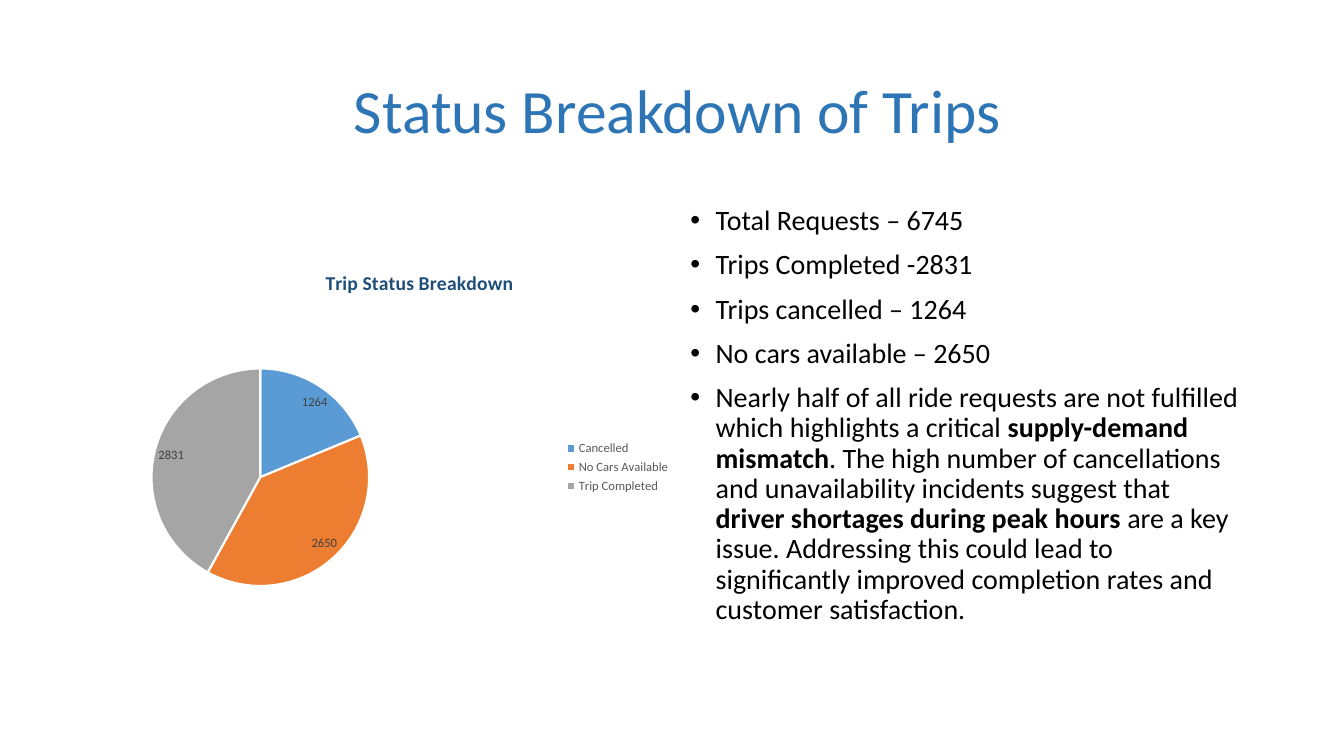
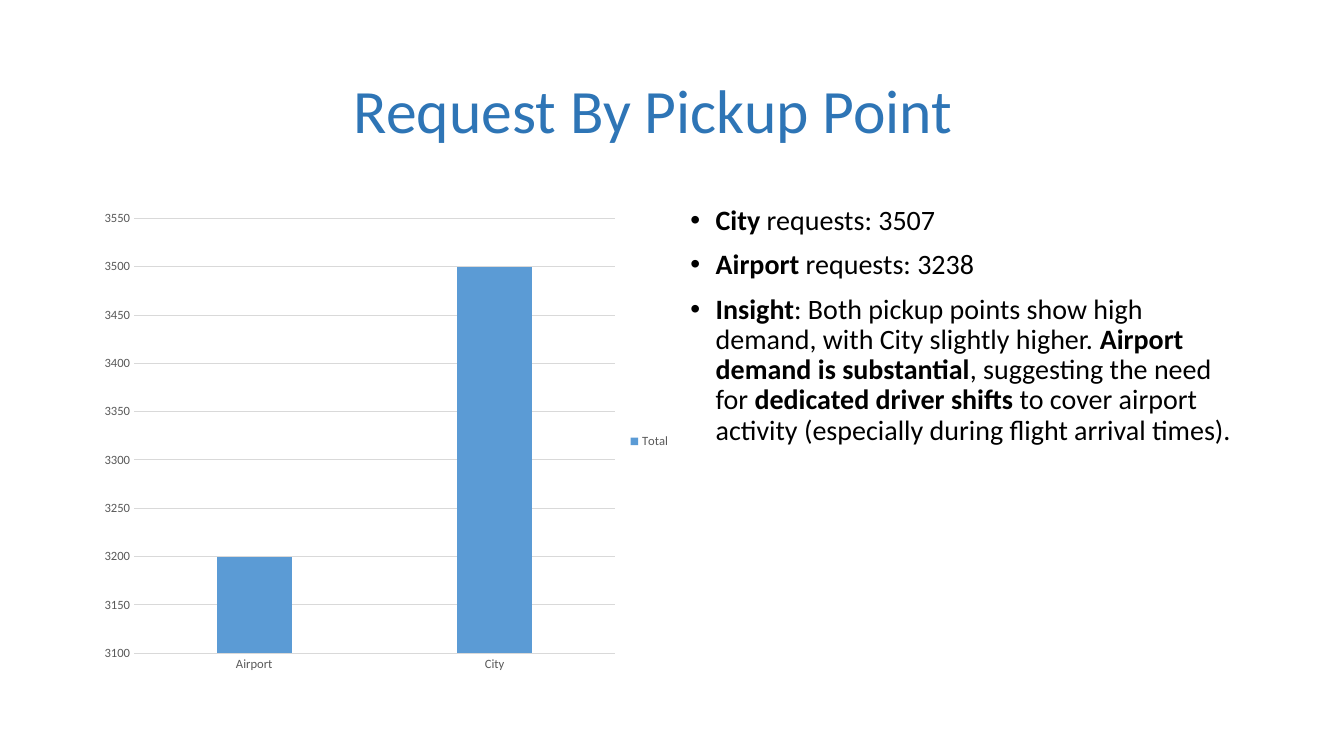
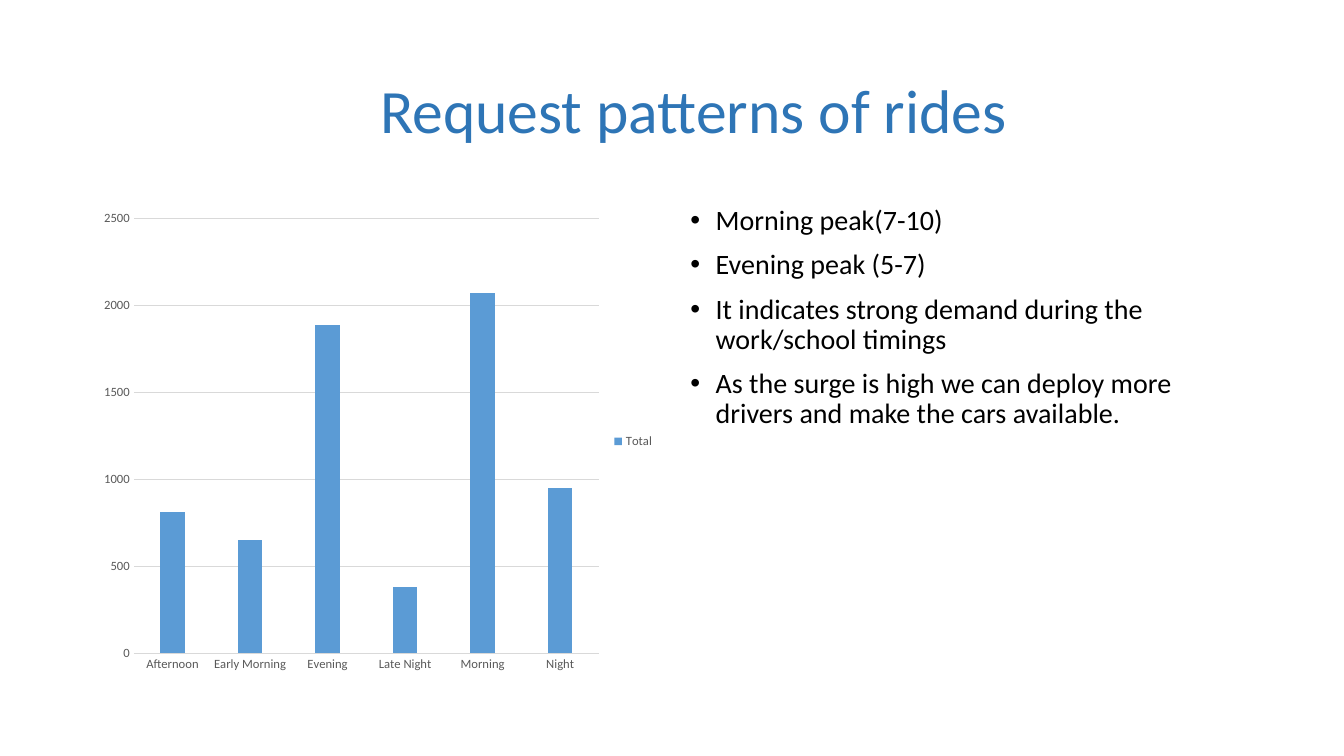
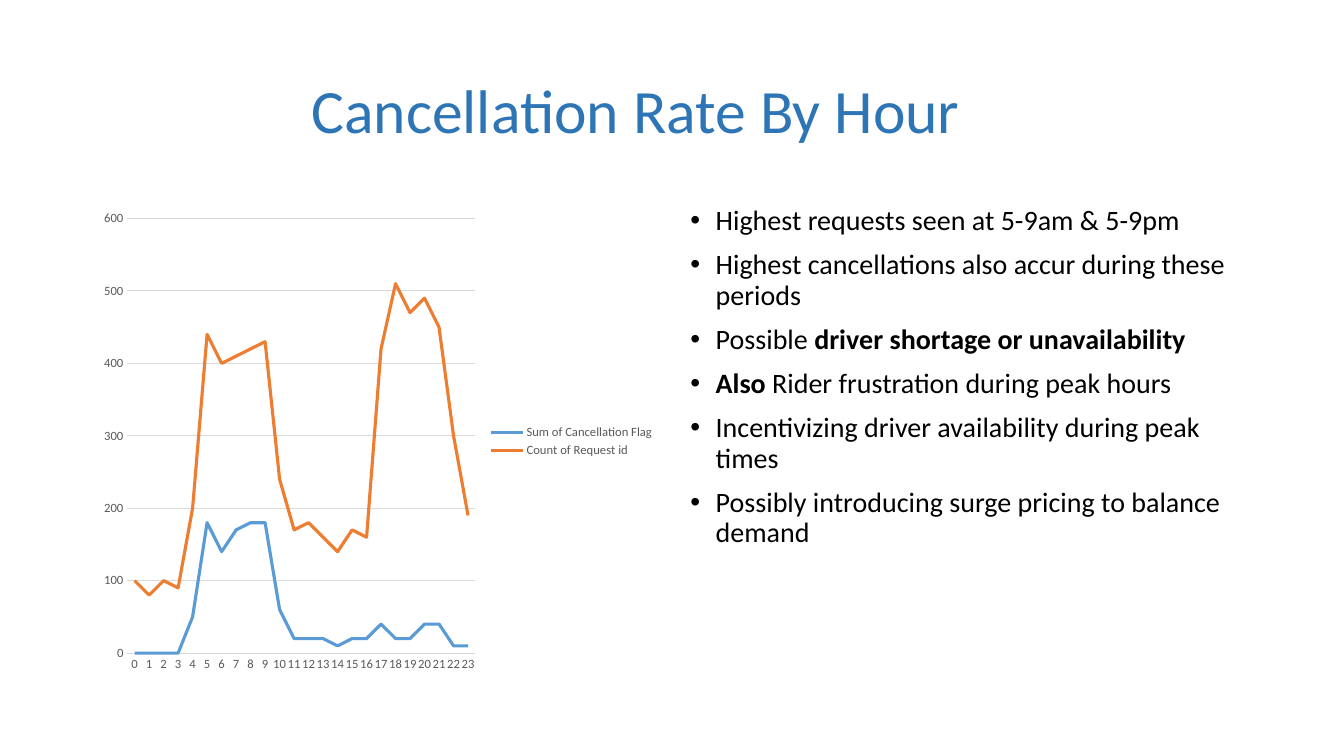
from dataclasses import dataclass

from lxml import etree
from pptx import Presentation
from pptx.chart.data import CategoryChartData
from pptx.dml.color import RGBColor
from pptx.enum.chart import XL_CHART_TYPE, XL_LABEL_POSITION, XL_LEGEND_POSITION, XL_MARKER_STYLE, XL_TICK_MARK
from pptx.enum.text import MSO_ANCHOR, PP_ALIGN
from pptx.oxml.ns import qn
from pptx.util import Inches, Pt

PIE = XL_CHART_TYPE.PIE
COLUMN = XL_CHART_TYPE.COLUMN_CLUSTERED
LINE = XL_CHART_TYPE.LINE
BEST_FIT = XL_LABEL_POSITION.BEST_FIT
LEGEND_RIGHT = XL_LEGEND_POSITION.RIGHT
NO_MARKER = XL_MARKER_STYLE.NONE
NO_TICK = XL_TICK_MARK.NONE
MIDDLE = MSO_ANCHOR.MIDDLE
LEFT = PP_ALIGN.LEFT


@dataclass(frozen=True)
class Theme:
    font: str = "Calibri"
    title: RGBColor = RGBColor.from_string("2E75B6")
    chart_title: RGBColor = RGBColor.from_string("1F4E79")
    body: RGBColor = RGBColor.from_string("000000")
    axis: RGBColor = RGBColor.from_string("595959")
    label: RGBColor = RGBColor.from_string("404040")
    grid: RGBColor = RGBColor.from_string("D9D9D9")
    white: RGBColor = RGBColor.from_string("FFFFFF")
    series: tuple = tuple(RGBColor.from_string(c) for c in ("5B9BD5", "ED7D31", "A5A5A5"))
    title_size: int = 44
    body_size: int = 20
    chart_title_size: int = 14
    chart_size: int = 9


THEME = Theme()


def write(frame, text, *, size, color, bold=False, spacing=None, before=None, bullet=False):
    for index, line in enumerate(text.split("\n")):
        paragraph = frame.paragraphs[0] if index == 0 else frame.add_paragraph()
        if spacing:
            paragraph.alignment = LEFT
            paragraph.line_spacing = spacing
        if before is not None:
            paragraph.space_before = Pt(before)
        if bullet:
            properties = paragraph._p.get_or_add_pPr()
            properties.set("marL", str(Inches(0.25)))
            properties.set("indent", str(-Inches(0.25)))
            etree.SubElement(properties, qn("a:buFont")).set("typeface", "Arial")
            etree.SubElement(properties, qn("a:buChar")).set("char", "•")
        for part, words in enumerate(line.split("**")):
            if words:
                run = paragraph.add_run()
                run.text = words
                run.font.name = THEME.font
                run.font.size = Pt(size)
                run.font.color.rgb = color
                run.font.bold = bold or part % 2 == 1


def place(parent, **position):
    layout = parent.find(qn("c:layout"))
    if layout is None:
        layout = etree.Element(qn("c:layout"))
        anchor = parent.find(qn("c:tx"))
        parent.insert(0 if anchor is None else parent.index(anchor) + 1, layout)
    manual = etree.SubElement(layout, qn("c:manualLayout"))
    for tag, value in position.items():
        etree.SubElement(manual, qn(f"c:{tag}")).set("val", str(value))


SLIDES = [
    dict(
        title="Status Breakdown of Trips", title_indent=2.49,
        points="""Total Requests – 6745
Trips Completed -2831
Trips cancelled – 1264
No cars available – 2650
Nearly half of all ride requests are not fulfilled which highlights a critical **supply-demand mismatch**. The high number of cancellations and unavailability incidents suggest that **driver shortages during peak hours** are a key issue. Addressing this could lead to significantly improved completion rates and customer satisfaction.""",
        kind=PIE, area=(2.14, 5.83, 4.99),
        categories=["Cancelled", "No Cars Available", "Trip Completed"],
        series={"Series 1": [1264, 2650, 2831]},
    ),
    dict(
        title="Request By Pickup Point", title_indent=2.49,
        points="""**City** requests: 3507
**Airport** requests: 3238
**Insight**: Both pickup points show high demand, with City slightly higher. **Airport demand is substantial**, suggesting the need for **dedicated driver shifts** to cover airport activity (especially during flight arrival times).""",
        kind=COLUMN, area=(2, 5.83, 4.76), scale=(3100, 3550, 50),
        categories=["Airport", "City"],
        series={"Total": [3200, 3500]},
    ),
    dict(
        title="Request patterns of rides", title_indent=2.75,
        points="""Morning peak(7-10)
Evening peak (5-7)
It indicates strong demand during the work/school timings
As the surge is high we can deploy more drivers and make the cars available.""",
        kind=COLUMN, area=(2, 5.67, 4.76), scale=(0, 2500, 500),
        categories=["Afternoon", "Early Morning", "Evening", "Late Night", "Morning", "Night"],
        series={"Total": [810, 650, 1890, 380, 2070, 950]},
    ),
    dict(
        title="Cancellation Rate By Hour", title_indent=2.07,
        points="""Highest requests seen at 5-9am & 5-9pm
Highest cancellations also accur during these periods
Possible **driver shortage or unavailability**
**Also** Rider frustration during peak hours
Incentivizing driver availability during peak times
Possibly introducing surge pricing to balance demand""",
        kind=LINE, area=(2, 5.67, 4.76), scale=(0, 600, 100),
        categories=[str(hour) for hour in range(24)],
        series={
            "Sum of Cancellation Flag": [
                0, 0, 0, 0, 50, 180, 140, 170, 180, 180, 60, 20,
                20, 20, 10, 20, 20, 40, 20, 20, 40, 40, 10, 10],
            "Count of Request id": [
                100, 80, 100, 90, 200, 440, 400, 410, 420, 430, 240, 170,
                180, 160, 140, 170, 160, 420, 510, 470, 490, 450, 300, 190],
        },
    ),
]

deck = Presentation()
deck.slide_width = Inches(13.33)
deck.slide_height = Inches(7.5)
title_only = deck.slide_layouts[5]

for content in SLIDES:
    slide = deck.slides.add_slide(title_only)
    heading = slide.shapes.title
    heading.left, heading.top = Inches(0.92), Inches(0.4)
    heading.width, heading.height = Inches(11.5), Inches(1.45)
    heading.text_frame.vertical_anchor = MIDDLE
    heading.text_frame.margin_left = Inches(0.1 + content["title_indent"])
    write(heading.text_frame, content["title"], size=THEME.title_size, color=THEME.title, spacing=0.9)

    findings = slide.shapes.add_textbox(Inches(6.75), Inches(2), Inches(5.67), Inches(4.76)).text_frame
    findings.word_wrap = True
    write(findings, content["points"], size=THEME.body_size, color=THEME.body,
          spacing=0.9, before=10, bullet=True)

    figures = CategoryChartData(number_format="General")
    figures.categories = content["categories"]
    for name, values in content["series"].items():
        figures.add_series(name, values)
    top, width, height = content["area"]
    chart = slide.shapes.add_chart(
        content["kind"], Inches(0.92), Inches(top), Inches(width), Inches(height), figures).chart
    chart.font.name = THEME.font
    chart.font.size = Pt(THEME.chart_size)
    chart.font.color.rgb = THEME.axis
    chart.has_title = False
    chart.has_legend = True
    chart.legend.position = LEGEND_RIGHT
    chart.legend.include_in_layout = False
    plot = chart.plots[0]

    if content["kind"] == PIE:
        chart.has_title = True
        write(chart.chart_title.text_frame, "Trip Status Breakdown",
              size=THEME.chart_title_size, color=THEME.chart_title, bold=True)
        chart.chart_title.include_in_layout = False
        place(chart.chart_title._element, xMode="edge", yMode="edge", x=0.39, y=0.1)
        place(chart._chartSpace.chart.plotArea, layoutTarget="inner", xMode="edge", yMode="edge",
              x=0.1, y=0.23, w=0.37, h=0.58)
        plot.vary_by_categories = True
        for index, color in enumerate(THEME.series):
            wedge = plot.series[0].points[index].format
            wedge.fill.solid()
            wedge.fill.fore_color.rgb = color
            wedge.line.color.rgb = THEME.white
            wedge.line.width = Pt(1.5)
        plot.has_data_labels = True
        labels = plot.data_labels
        labels.show_value = True
        labels.show_percentage = False
        labels.position = BEST_FIT
        labels.font.name = THEME.font
        labels.font.size = Pt(THEME.chart_size)
        labels.font.color.rgb = THEME.label
        continue

    plot.vary_by_categories = False
    value_axis, category_axis = chart.value_axis, chart.category_axis
    value_axis.minimum_scale, value_axis.maximum_scale, value_axis.major_unit = content["scale"]
    for axis in (value_axis, category_axis):
        axis.major_tick_mark = axis.minor_tick_mark = NO_TICK
    value_axis.format.line.fill.background()
    for line in (category_axis.format.line, value_axis.major_gridlines.format.line):
        line.color.rgb = THEME.grid
        line.width = Pt(0.75)
    for series, color in zip(plot.series, THEME.series):
        if content["kind"] == LINE:
            series.smooth = False
            series.marker.style = NO_MARKER
            series.format.line.color.rgb = color
            series.format.line.width = Pt(2.25)
        else:
            series.format.fill.solid()
            series.format.fill.fore_color.rgb = color
    if content["kind"] == COLUMN:
        plot.gap_width = 219
        plot.overlap = -27

deck.save("out.pptx")
